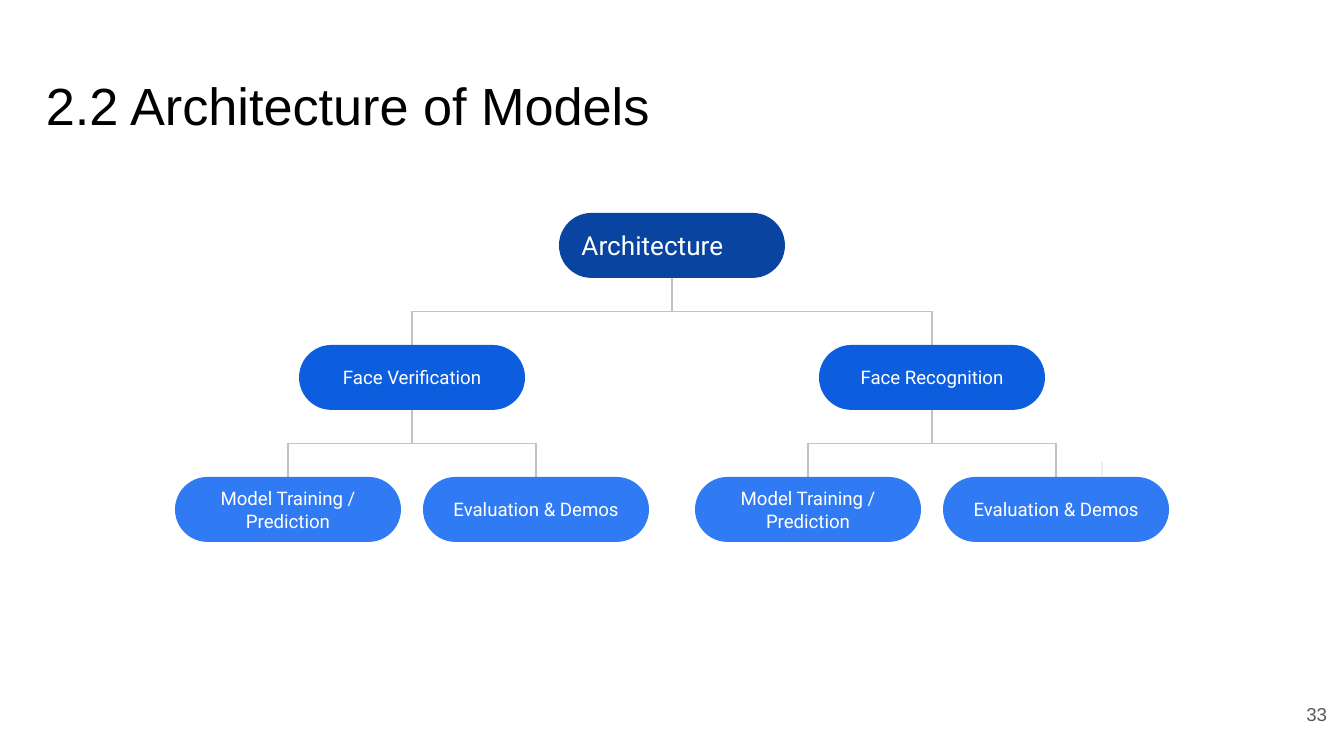
import pptx
import pptx.dml.color
import pptx.enum.shapes
import pptx.enum.text
import pptx.oxml.ns
import pptx.util
from lxml import etree

ALIGN = pptx.enum.text.PP_ALIGN
KINDS = pptx.enum.shapes.MSO_SHAPE
CONNECTORS = pptx.enum.shapes.MSO_CONNECTOR
EMU_PER_PX = 914400 / 134.4


def px(length):
    return pptx.util.Emu(round(length * EMU_PER_PX))


def write(shape, text, size, font, color, align, inset, spacing=1.0):
    frame = shape.text_frame
    frame_format = {
        "word_wrap": True,
        "vertical_anchor": pptx.enum.text.MSO_ANCHOR.MIDDLE,
        "margin_left": px(inset),
        "margin_right": px(inset),
        "margin_top": px(inset),
        "margin_bottom": px(inset),
    }
    for name, value in frame_format.items():
        setattr(frame, name, value)
    paragraph = frame.paragraphs[0]
    paragraph.alignment = align
    paragraph.line_spacing = spacing
    run = paragraph.add_run()
    run.text = text
    for name, value in {"size": pptx.util.Pt(size), "name": font}.items():
        setattr(run.font, name, value)
    run.font.color.rgb = pptx.dml.color.RGBColor.from_string(color)


presentation = pptx.Presentation()
presentation.slide_width = px(1344)
presentation.slide_height = px(756)
slide = presentation.slides.add_slide(presentation.slide_layouts[6])

title = slide.shapes.add_textbox(px(46), px(66), px(1253), px(85))
write(title, "2.2 Architecture of Models", 28, "Arial", "000000", ALIGN.LEFT, 0, 0.9)
page_number = slide.shapes.add_textbox(px(1246), px(685), px(81), px(58))
write(page_number, "33", 10, "Arial", "595959", ALIGN.RIGHT, 0)

NODE_WIDTH, NODE_HEIGHT = 226, 65
TOP, ROW_STEP = 213, 132
ROOT_X, BRANCH_OFFSET, LEAF_OFFSET = 672, 260, 124

nodes = [(ROOT_X, 0, "Architecture")]
links = []
for side, branch in ((-1, "Face Verification"), (1, "Face Recognition")):
    branch_x = ROOT_X + side * BRANCH_OFFSET
    nodes.append((branch_x, 1, branch))
    links.append((ROOT_X, 0, side, BRANCH_OFFSET))
    for leaf_side, leaf in ((-1, "Model Training / Prediction"), (1, "Evaluation & Demos")):
        nodes.append((branch_x + leaf_side * LEAF_OFFSET, 2, leaf))
        links.append((branch_x, 1, leaf_side, LEAF_OFFSET))

lines = [(CONNECTORS.STRAIGHT, 1102, 462, 1102, 502, "EEEEEE", 0)]
for parent_x, level, side, offset in links:
    center_x = parent_x + side * offset / 2
    center_y = TOP + level * ROW_STEP + (NODE_HEIGHT + ROW_STEP) / 2
    half_drop = side * (ROW_STEP - NODE_HEIGHT) / 2
    half_span = offset / 2
    lines.append((CONNECTORS.ELBOW, center_x + half_drop, center_y - half_span,
                  center_x - half_drop, center_y + half_span, "C2C2C2", 270))

for kind, begin_x, begin_y, end_x, end_y, color, angle in lines:
    connector = slide.shapes.add_connector(kind, px(begin_x), px(begin_y), px(end_x), px(end_y))
    connector.line.width = pptx.util.Pt(0.75)
    connector.line.color.rgb = pptx.dml.color.RGBColor.from_string(color)
    properties = connector._element.spPr
    etree.SubElement(properties, pptx.oxml.ns.qn("a:effectLst"))
    if angle:
        properties.find(pptx.oxml.ns.qn("a:xfrm")).set("rot", str(angle * 60000))

LEVELS = [
    {"fill": "0944A1", "size": 14, "align": ALIGN.LEFT},
    {"fill": "0D5DDF", "size": 10, "align": ALIGN.CENTER},
    {"fill": "307BF3", "size": 10, "align": ALIGN.CENTER},
]
for center_x, level, label in nodes:
    style = LEVELS[level]
    node = slide.shapes.add_shape(
        KINDS.ROUNDED_RECTANGLE, px(center_x - NODE_WIDTH / 2), px(TOP + level * ROW_STEP),
        px(NODE_WIDTH), px(NODE_HEIGHT))
    node.adjustments[0] = 0.5
    node.shadow.inherit = False
    node.fill.solid()
    node.fill.fore_color.rgb = pptx.dml.color.RGBColor.from_string(style["fill"])
    node.line.fill.background()
    write(node, label, style["size"], "Roboto", "FFFFFF", style["align"], 13)

presentation.save("out.pptx")
